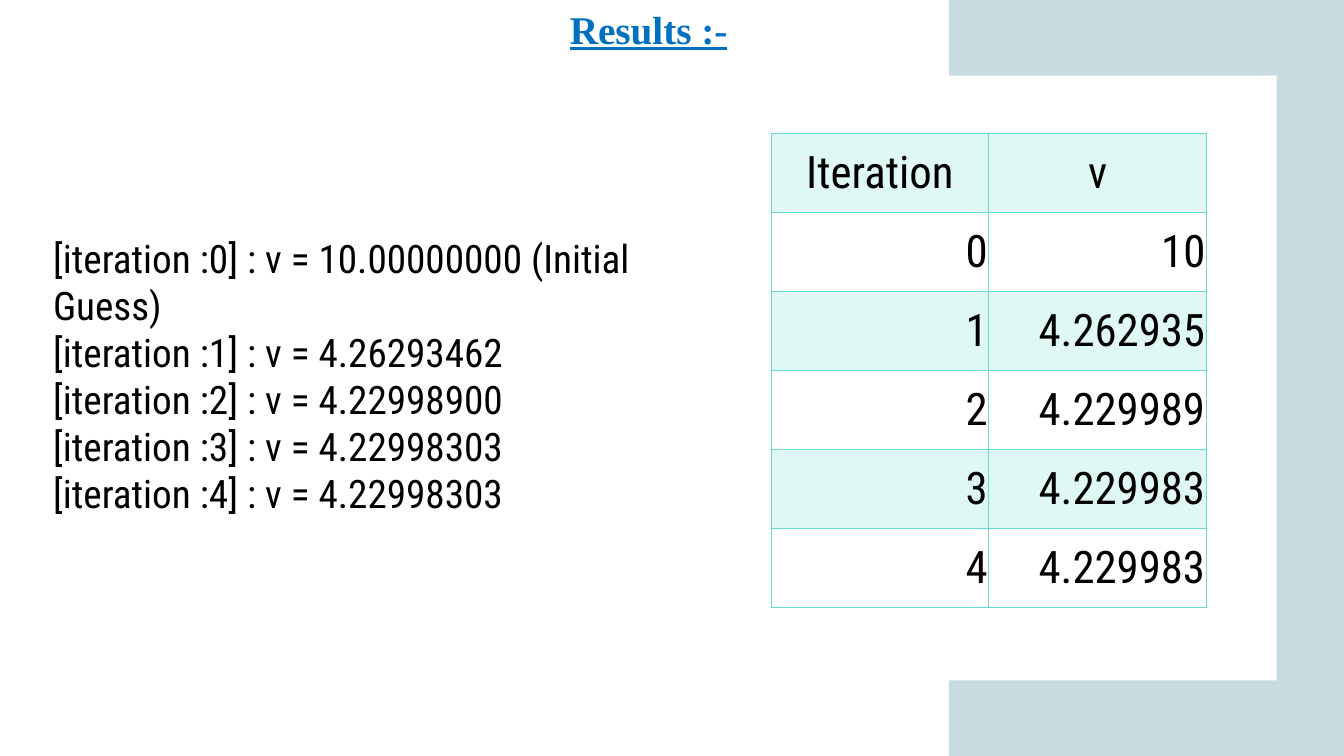
from lxml import etree
from pptx import Presentation
from pptx.dml.color import RGBColor
from pptx.enum.text import MSO_ANCHOR, MSO_AUTO_SIZE, PP_ALIGN
from pptx.oxml.ns import qn
from pptx.util import Pt

BLACK = RGBColor(0x00, 0x00, 0x00)
BLUE = RGBColor(0x00, 0x70, 0xC0)
MIST = RGBColor(0xC7, 0xDB, 0xE1)
MINT = RGBColor(0x66, 0xDD, 0xCC)
SANS, SERIF = "Roboto Condensed", "Times New Roman"
CENTER, RIGHT = PP_ALIGN.CENTER, PP_ALIGN.RIGHT
MIDDLE = MSO_ANCHOR.MIDDLE
GROW = MSO_AUTO_SIZE.SHAPE_TO_FIT_TEXT

STEPS = [
    "[iteration :0] : v = 10.00000000 (Initial Guess)",
    "[iteration :1] : v = 4.26293462",
    "[iteration :2] : v = 4.22998900",
    "[iteration :3] : v = 4.22998303",
    "[iteration :4] : v = 4.22998303",
]
ROWS = [
    ("Iteration", "v"),
    ("0", "10"),
    ("1", "4.262935"),
    ("2", "4.229989"),
    ("3", "4.229983"),
    ("4", "4.229983"),
]


def style(para, face, size, color):
    for run in para.runs:
        run.font.name = face
        run.font.size = Pt(size)
        run.font.color.rgb = color


def add_frame(slide, x, y, w, h, arm=54, side=48):
    """Bracket open to the left."""
    right, low, inner = x + w, y + h, x + w - side
    form = slide.shapes.build_freeform(x, y, scale=Pt(1))
    form.add_line_segments([
        (right, y), (right, low), (x, low), (x, low - arm),
        (inner, low - arm), (inner, y + arm), (x, y + arm),
    ])
    frame = form.convert_to_shape()
    frame.shadow.inherit = False
    frame.fill.solid()
    frame.fill.fore_color.rgb = MIST
    frame.line.fill.background()


def add_text(slide, x, y, w, h, text, face, color):
    box = slide.shapes.add_textbox(Pt(x), Pt(y), Pt(w), Pt(h))
    frame = box.text_frame
    frame.word_wrap = True
    frame.auto_size = GROW
    frame.text = text
    for para in frame.paragraphs:
        style(para, face, 28, color)
    return frame


def add_title(slide, x, y, w, h):
    frame = add_text(slide, x, y, w, h, "Results :-", SERIF, BLUE)
    para = frame.paragraphs[0]
    para.level = 1
    props = para._p.get_or_add_pPr()
    props.set("marL", str(Pt(36)))
    props.set("indent", "0")
    font = para.runs[0].font
    font.bold = font.underline = True


def paint(cell, tinted):
    """Thin mint borders, and a light mint fill where tinted."""
    props = cell._tc.get_or_add_tcPr()
    if tinted:
        cell.fill.solid()
        cell.fill.fore_color.rgb = MINT
        tint = props.find(".//" + qn("a:srgbClr"))
        etree.SubElement(tint, qn("a:alpha"), val="20000")
    else:
        cell.fill.background()
    for spot, edge in enumerate(("a:lnL", "a:lnR", "a:lnT", "a:lnB")):
        line = etree.Element(qn(edge), w=str(Pt(1)))
        fill = etree.SubElement(line, qn("a:solidFill"))
        etree.SubElement(fill, qn("a:srgbClr"), val=str(MINT))
        props.insert(spot, line)


def add_grid(slide, x, y, w, h):
    shape = slide.shapes.add_table(len(ROWS), 2, Pt(x), Pt(y), Pt(w), Pt(h))
    table = shape.table
    for col in table.columns:
        col.width = Pt(w / 2)
    for i, row in enumerate(ROWS):
        table.rows[i].height = Pt(h / len(ROWS))
        for j, text in enumerate(row):
            cell = table.cell(i, j)
            cell.margin_left = cell.margin_right = cell.margin_top = Pt(0.75)
            cell.margin_bottom = 0
            cell.vertical_anchor = MIDDLE
            cell.text = text
            para = cell.text_frame.paragraphs[0]
            para.alignment = RIGHT if i else CENTER
            style(para, SANS, 32, BLACK)
            para.runs[0].font.bold = False
            paint(cell, i % 2 == 0)


def main():
    deck = Presentation()
    deck.slide_width, deck.slide_height = Pt(960), Pt(540)
    slide = deck.slides.add_slide(deck.slide_layouts[6])
    add_frame(slide, 678, 0, 282, 540)
    add_grid(slide, 550.8, 95.2, 311, 338.6)
    add_text(slide, 30.8, 163.5, 492, 177, "\n".join(STEPS), SANS, BLACK)
    add_title(slide, 363.9, 0, 197, 41)
    deck.save("out.pptx")


if __name__ == "__main__":
    main()
